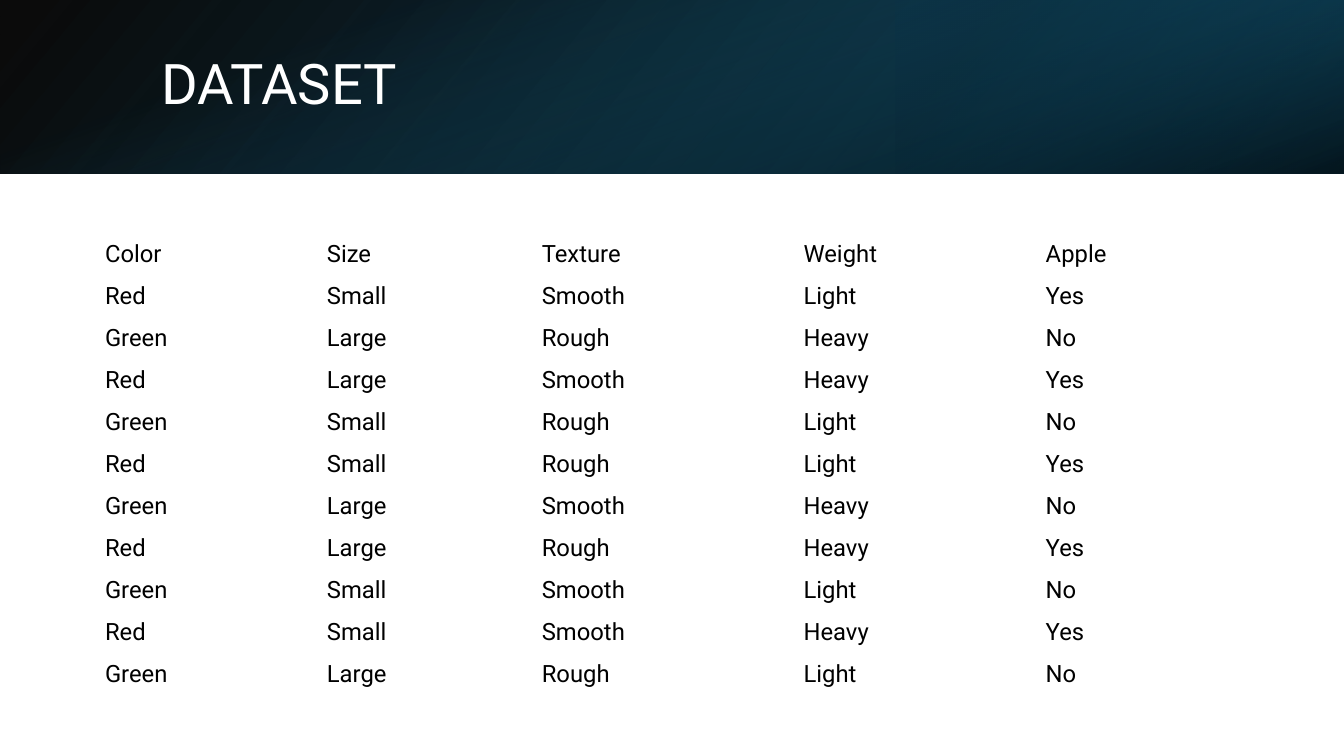
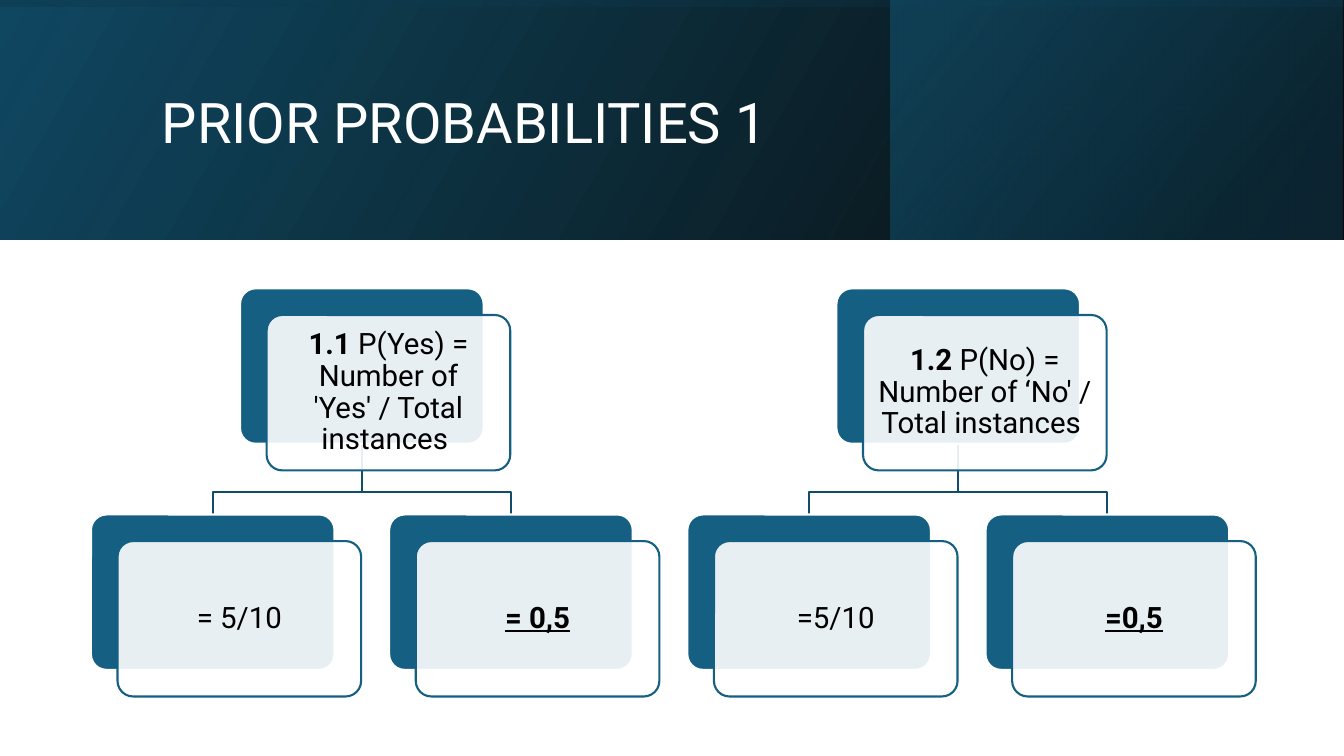
from lxml.etree import SubElement
from pptx import Presentation
from pptx.dml.color import RGBColor
from pptx.enum.shapes import MSO_SHAPE
from pptx.enum.text import MSO_ANCHOR, PP_ALIGN
from pptx.oxml.ns import qn
from pptx.util import Pt

WIDE, HIGH = 960, 540
BLACK = RGBColor(0x00, 0x00, 0x00)
WHITE = RGBColor(0xFF, 0xFF, 0xFF)
NAVY = RGBColor(0x10, 0x48, 0x62)
DEEP = RGBColor(0x0B, 0x30, 0x41)
TEAL = RGBColor(0x15, 0x60, 0x82)
WIRE = RGBColor(0x11, 0x4D, 0x68)

TITLE = {"name": "Roboto", "size": Pt(40)}
CELL = {"name": "Roboto", "size": Pt(17), "bold": False}
CARD = {"name": "Roboto", "size": Pt(21), "bold": False}
BOLD = {"bold": True}
RESULT = {"bold": True, "underline": True}

COLS = (158.5, 153.5, 187, 173, 154.5)
ROWS = """Color Size Texture Weight Apple
Red Small Smooth Light Yes
Green Large Rough Heavy No
Red Large Smooth Heavy Yes
Green Small Rough Light No
Red Small Rough Light Yes
Green Large Smooth Heavy No
Red Large Rough Heavy Yes
Green Small Smooth Light No
Red Small Smooth Heavy Yes
Green Large Rough Light No"""

CARD_W, CARD_H = 174, 111
SHIFT = 19
PITCH = 213
DROP = 161.5
TREES = (
    ([("1.1", BOLD), (" P(Yes) = Number of 'Yes' / Total instances ", {})],
     [("= 5/10", {})], [("= 0,5", RESULT)]),
    ([("1.2", BOLD), (" P(No) = Number of ‘No' / Total instances ", {})],
     [("=5/10", {})], [("=0,5", RESULT)]),
)


def place(box):
    return [Pt(n) for n in box]


def style(item, values):
    for name, value in values.items():
        setattr(item, name, value)


def write(par, text, color, values):
    run = par.add_run()
    run.text = text
    style(run.font, values)
    run.font.color.rgb = color


def fade(node, percent):
    SubElement(node, qn("a:alpha"), val=str(percent * 1000))


def blend(slide, box, stops, angle, turn=0):
    """Add a mirrored or turned rectangle with a see-through gradient."""
    rect = slide.shapes.add_shape(MSO_SHAPE.RECTANGLE, *place(box))
    rect.shadow.inherit = False
    rect.line.fill.background()
    rect.rotation = turn
    rect.fill.background()
    props = rect.element.spPr
    old = props.find(qn("a:noFill"))
    grad = props.makeelement(qn("a:gradFill"), {"rotWithShape": "1"})
    props.replace(old, grad)
    items = SubElement(grad, qn("a:gsLst"))
    for pos, color, alpha in stops:
        stop = SubElement(items, qn("a:gs"), pos=str(pos * 1000))
        fade(SubElement(stop, qn("a:srgbClr"), val=str(color)), alpha)
    SubElement(grad, qn("a:lin"), ang=str(angle * 60000), scaled="0")
    return rect


def flip(shape):
    shape.element.spPr.find(qn("a:xfrm")).set("flipH", "1")


def band(slide, high, base, side, veil):
    """Stack the three gradients of the header: base, right side, veil."""
    flip(blend(slide, (0, 0, WIDE, high), [(0, BLACK, 96), (100, NAVY, 100)], base))
    left, width, alpha, turn = side
    flip(blend(slide, (left, 0, width, high),
               [(19, DEEP, 68), (100, TEAL, alpha)], 320, turn))
    stops, angle, turn, mirror = veil
    gap = (WIDE - high) / 2
    sheet = blend(slide, (gap, -gap, high, WIDE), stops, angle, turn)
    if mirror:
        flip(sheet)


def head(slide, box, text):
    frame = slide.shapes.add_textbox(*place(box)).text_frame
    style(frame, {"word_wrap": True, "vertical_anchor": MSO_ANCHOR.MIDDLE})
    par = frame.paragraphs[0]
    par.line_spacing = 0.9
    write(par, text, WHITE, TITLE)


def grid(slide, left, top, row):
    data = [line.split() for line in ROWS.splitlines()]
    box = (left, top, sum(COLS), row * len(data))
    table = slide.shapes.add_table(len(data), len(COLS), *place(box)).table
    style(table, {"first_row": False, "horz_banding": False})
    for col, width in zip(table.columns, COLS):
        col.width = Pt(width)
    for line, words in zip(table.rows, data):
        line.height = Pt(row)
        for cell, word in zip(line.cells, words):
            cell.fill.background()
            style(cell, {"vertical_anchor": MSO_ANCHOR.MIDDLE,
                         "margin_left": Pt(6.5), "margin_right": Pt(6.5),
                         "margin_top": Pt(3.25), "margin_bottom": Pt(3.25)})
            write(cell.text_frame.paragraphs[0], word, BLACK, CELL)


def plate(slide, left, top, fill, edge):
    box = (left, top, CARD_W, CARD_H)
    shape = slide.shapes.add_shape(MSO_SHAPE.ROUNDED_RECTANGLE, *place(box))
    shape.shadow.inherit = False
    shape.adjustments[0] = 0.1
    shape.fill.solid()
    shape.fill.fore_color.rgb = fill
    shape.line.color.rgb = edge
    shape.line.width = Pt(1.5)
    return shape


def card(slide, left, top, parts):
    """Add a solid plate and, shifted over it, a pale one with the text."""
    plate(slide, left, top, TEAL, WHITE)
    front = plate(slide, left + SHIFT, top + SHIFT, WHITE, TEAL)
    fade(front.element.spPr.find(qn("a:solidFill"))[0], 90)
    frame = front.text_frame
    style(frame, {"word_wrap": True, "vertical_anchor": MSO_ANCHOR.MIDDLE})
    style(frame, {f"margin_{side}": Pt(6.5)
                  for side in ("left", "top", "right", "bottom")})
    par = frame.paragraphs[0]
    style(par, {"alignment": PP_ALIGN.CENTER, "line_spacing": 0.9})
    for text, values in parts:
        write(par, text, BLACK, CARD | values)


def elbow(slide, start, end):
    (x, y), (far, low) = start, end
    bend = low - 16
    pen = slide.shapes.build_freeform(Pt(x), Pt(y))
    pen.add_line_segments([(Pt(a), Pt(b)) for a, b in
                           ((x, bend), (far, bend), (far, low))], close=False)
    line = pen.convert_to_shape()
    line.shadow.inherit = False
    line.fill.background()
    line.line.color.rgb = WIRE
    line.line.width = Pt(1.5)


def tree(slide, left, top, root, leaves):
    """Place a root card centred above its leaves, joined by elbows."""
    mid = left + PITCH * (len(leaves) - 1) / 2
    spots = [left + PITCH * i for i in range(len(leaves))]
    half = CARD_W / 2
    for spot in spots:
        elbow(slide, (mid + half, top + CARD_H), (spot + half, top + DROP))
    card(slide, mid, top, root)
    for spot, leaf in zip(spots, leaves):
        card(slide, spot, top + DROP, leaf)


def data_page(slide):
    band(slide, 124, 140, (640, 320, 79, 180),
         ([(23, TEAL, 0), (99, BLACK, 74)], 340, 90, False))
    head(slide, (108, 27.5, 790, 69), "DATASET")
    grid(slide, 68.5, 166.5, 30)


def prior_page(slide):
    band(slide, 171, 330, (636, 323, 48, 0),
         ([(23, NAVY, 16), (99, BLACK, 45)], 350, 270, True))
    head(slide, (108.5, 27.5, 765, 124), "PRIOR PROBABILITIES 1")
    for i, (root, *leaves) in enumerate(TREES):
        tree(slide, 65 + 2 * PITCH * i, 206, root, leaves)


def main():
    deck = Presentation()
    deck.slide_width, deck.slide_height = Pt(WIDE), Pt(HIGH)
    for page in (data_page, prior_page):
        page(deck.slides.add_slide(deck.slide_layouts[6]))
    deck.save("out.pptx")


if __name__ == "__main__":
    main()
